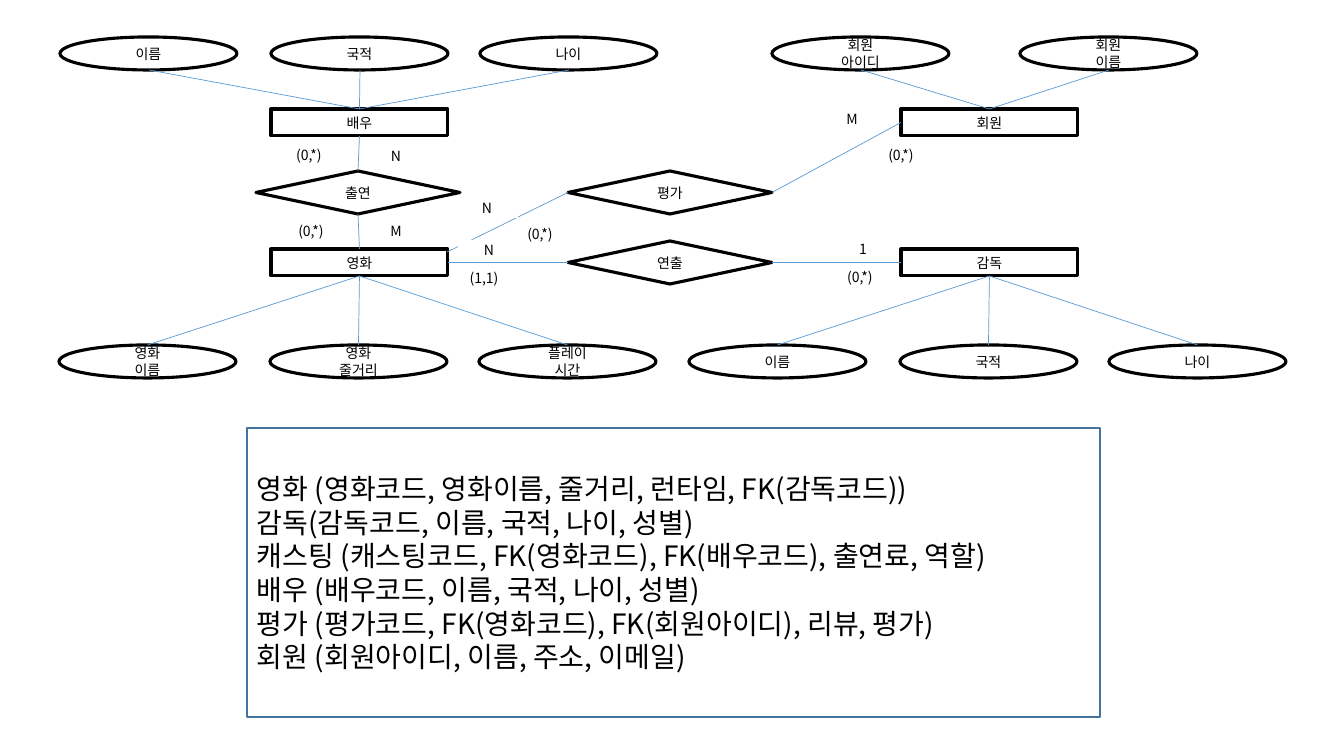
from lxml import etree
from pptx import Presentation
from pptx.dml.color import RGBColor
from pptx.enum.shapes import MSO_CONNECTOR, MSO_SHAPE
from pptx.enum.text import MSO_ANCHOR, PP_ALIGN
from pptx.oxml.ns import qn
from pptx.util import Emu, Pt

PX = 914400 / 100.8
FONT = "Noto Sans CJK KR"
RECTANGLE, ELLIPSE, DIAMOND = MSO_SHAPE.RECTANGLE, MSO_SHAPE.OVAL, MSO_SHAPE.DIAMOND
TOP, LEFT, BOTTOM, RIGHT = range(4)
CENTER, ALIGN_LEFT = PP_ALIGN.CENTER, PP_ALIGN.LEFT
MIDDLE = MSO_ANCHOR.MIDDLE
STRAIGHT = MSO_CONNECTOR.STRAIGHT

presentation = Presentation()
presentation.slide_width = Emu(round(1344 * PX))
presentation.slide_height = Emu(round(756 * PX))
slide = presentation.slides.add_slide(presentation.slide_layouts[6])


def add_box(kind, bounds, lines, border=None, border_width=2.25, size=10, align=CENTER):
    """Add a white shape, bounds in px, with one paragraph per line of text."""
    shape = slide.shapes.add_shape(kind, *[Emu(round(value * PX)) for value in bounds])
    shape.shadow.inherit = False
    shape.fill.solid()
    shape.fill.fore_color.rgb = RGBColor.from_string("FFFFFF")
    if border:
        shape.line.color.rgb = RGBColor.from_string(border)
        shape.line.width = Pt(border_width)
    else:
        shape.line.fill.background()
    frame = shape.text_frame
    frame.word_wrap = True
    frame.vertical_anchor = MIDDLE
    for index, line in enumerate(lines):
        paragraph = frame.paragraphs[0] if index == 0 else frame.add_paragraph()
        paragraph.alignment = align
        run = paragraph.add_run()
        run.text = line
        run.font.name = FONT
        run.font.size = Pt(size)
        run.font.color.rgb = RGBColor.from_string("000000")
        east_asian = etree.SubElement(run._r.get_or_add_rPr(), qn("a:ea"))
        east_asian.set("typeface", FONT)
    return shape


def add_link(start=(0, 0), end=(0, 0), start_join=None, end_join=None):
    """Add a thin line; a join is (shape, side) and overrides the point in px."""
    points = [Emu(round(value * PX)) for value in (*start, *end)]
    link = slide.shapes.add_connector(STRAIGHT, *points)
    link.line.color.rgb = RGBColor.from_string("5B9BD5")
    link.line.width = Pt(0.5)
    etree.SubElement(link._element.spPr, qn("a:effectLst"))
    if start_join:
        link.begin_connect(*start_join)
    if end_join:
        link.end_connect(*end_join)


# Entities and relationships
actor, movie, member, director = [
    add_box(RECTANGLE, (left, top, 177, 27), [name], "000000")
    for name, left, top in [
        ("배우", 271, 109), ("영화", 271, 249), ("회원", 901, 109), ("감독", 901, 249)
    ]
]
casting, rating, directing = [
    add_box(DIAMOND, (left, top, 204, 43), [name], "000000")
    for name, left, top in [("출연", 256, 171), ("평가", 568, 171), ("연출", 568, 241)]
]

# Attributes above their entity hang by the bottom, those below by the top
attributes = [
    (actor, TOP, 37, [(60, ["이름"]), (271, ["국적"]), (480, ["나이"])]),
    (member, TOP, 37, [(772, ["회원", "아이디"]), (1020, ["회원", "이름"])]),
    (movie, BOTTOM, 345,
     [(59, ["영화", "이름"]), (270, ["영화", "줄거리"]), (479, ["플레이", "시간"])]),
    (director, BOTTOM, 345, [(689, ["이름"]), (900, ["국적"]), (1109, ["나이"])]),
]
for entity, side, top, ellipses in attributes:
    for left, lines in ellipses:
        ellipse = add_box(ELLIPSE, (left, top, 177, 33), lines, "000000")
        if side == TOP:
            add_link(end=(left + 89, top + 33), start_join=(entity, TOP))
        else:
            add_link(start_join=(entity, BOTTOM), end_join=(ellipse, TOP))

# Relationship links
for start_join, end_join in [
    ((actor, BOTTOM), (casting, TOP)),
    ((casting, BOTTOM), (movie, TOP)),
    ((directing, LEFT), (movie, RIGHT)),
    ((directing, RIGHT), (director, LEFT)),
    ((rating, RIGHT), (member, LEFT)),
]:
    add_link(start_join=start_join, end_join=end_join)
add_link(start=(447, 252), end_join=(rating, LEFT))

# Cardinalities
for text, left, top in [
    ("(0,*)", 278, 145), ("N", 365, 146), ("(0,*)", 280, 221), ("M", 365, 221),
    ("N", 456, 198), ("(0,*)", 509, 224), ("N", 458, 240), ("(1,1)", 453, 268),
    ("M", 821, 109), ("(0,*)", 870, 145), ("1", 832, 239), ("(0,*)", 829, 267),
]:
    add_box(RECTANGLE, (left, top, 62, 20), [text])

# Relational schema
schema = [
    "영화 (영화코드, 영화이름, 줄거리, 런타임, FK(감독코드))",
    "감독(감독코드, 이름, 국적, 나이, 성별)",
    "캐스팅 (캐스팅코드, FK(영화코드), FK(배우코드), 출연료, 역할)",
    "배우 (배우코드, 이름, 국적, 나이, 성별)",
    "평가 (평가코드, FK(영화코드), FK(회원아이디), 리뷰, 평가)",
    "회원 (회원아이디, 이름, 주소, 이메일)",
]
add_box(RECTANGLE, (247, 428, 853, 289), schema, "43739E", 1, 20, ALIGN_LEFT)

presentation.save("out.pptx")
